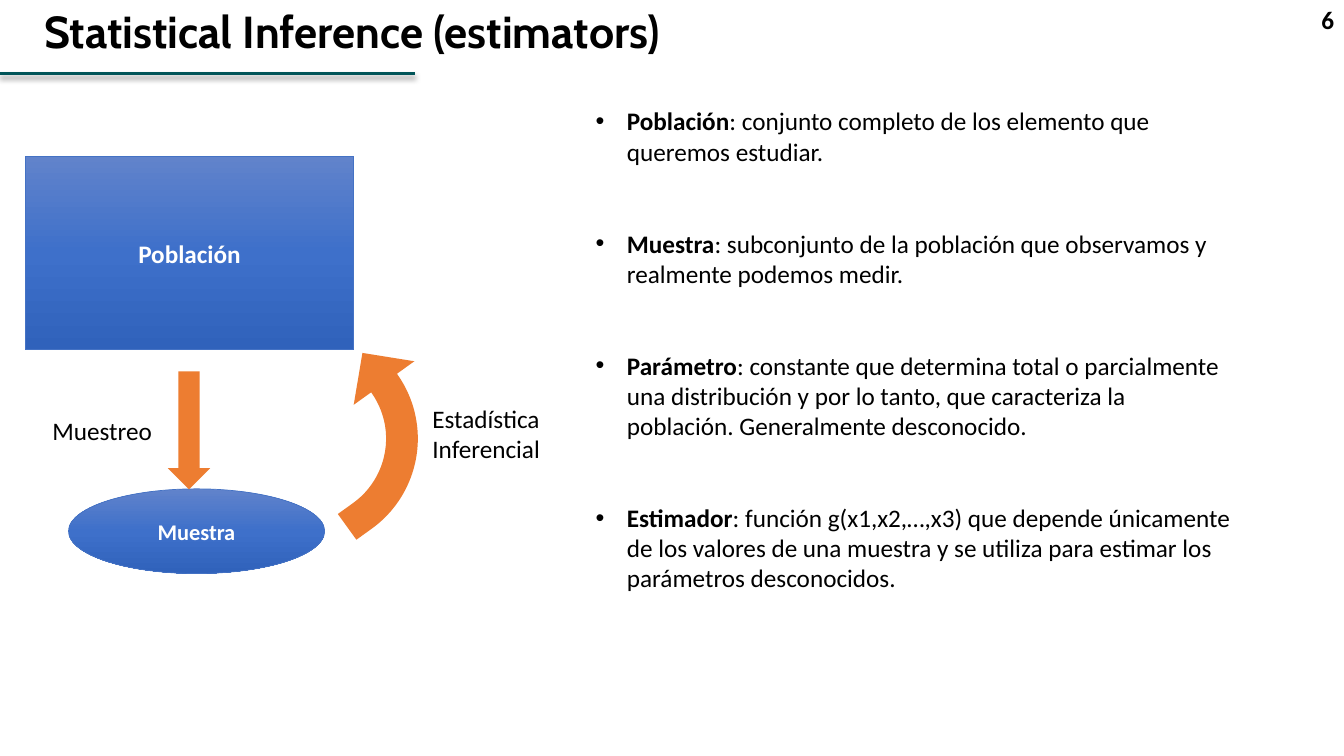
from copy import deepcopy

from lxml import etree
from pptx import Presentation
from pptx.dml.color import RGBColor
from pptx.enum.shapes import MSO_CONNECTOR as Connector, MSO_SHAPE as Shape
from pptx.enum.text import MSO_ANCHOR as Anchor, MSO_AUTO_SIZE as AutoSize, PP_ALIGN as Align
from pptx.oxml import parse_xml
from pptx.oxml.ns import nsdecls, qn
from pptx.util import Inches, Pt

BLACK = RGBColor(0x00, 0x00, 0x00)
WHITE = RGBColor(0xFF, 0xFF, 0xFF)
TEAL = RGBColor(0x01, 0x55, 0x59)
BLUE = RGBColor(0x44, 0x72, 0xC4)
ORANGE = RGBColor(0xED, 0x7D, 0x31)
BLUE_STOPS = [
    (0, RGBColor(0x61, 0x83, 0xCB)),
    (0.5, RGBColor(0x3E, 0x70, 0xCA)),
    (1, RGBColor(0x30, 0x62, 0xBB)),
]


def write(shape, paragraphs, size=18, font="Calibri", color=BLACK, align=Align.LEFT,
          anchor=Anchor.TOP, wrap=True, bullet=False, gap=0):
    """Fill a shape with paragraphs, each a list of (text, bold) spans."""
    frame = shape.text_frame
    frame.auto_size = AutoSize.NONE
    frame.word_wrap = wrap
    frame.vertical_anchor = anchor
    for index, spans in enumerate(paragraphs):
        para = frame.add_paragraph() if index else frame.paragraphs[0]
        para.alignment = align
        para.space_before = Pt(gap if index else 0)
        if bullet:
            properties = para._p.get_or_add_pPr()
            properties.set("marL", str(Inches(0.31)))
            properties.set("indent", str(Inches(-0.31)))
            etree.SubElement(properties, qn("a:buFont")).set("typeface", "Arial")
            etree.SubElement(properties, qn("a:buChar")).set("char", "•")
        for text, bold in spans:
            span = para.add_run()
            span.text = text
            span.font.name = font
            span.font.size = Pt(size)
            span.font.bold = bold
            span.font.color.rgb = color


deck = Presentation()
deck.slide_width = Inches(13.33)
deck.slide_height = Inches(7.5)
page = deck.slides.add_slide(deck.slide_layouts[5])
shapes = page.shapes

# Header
number = shapes.add_textbox(Inches(0), Inches(-0.01), Inches(13.33), Inches(0.4))
write(number, [[("6", True)]], align=Align.RIGHT, anchor=Anchor.MIDDLE)

rule = shapes.add_connector(Connector.STRAIGHT, Inches(0), Inches(0.73), Inches(4.12), Inches(0.73))
rule.line.color.rgb = TEAL
rule.line.width = Pt(2.25)
rule._element.spPr.append(parse_xml(
    f'<a:effectLst {nsdecls("a")}>'
    f'<a:outerShdw blurRad="{Pt(4)}" dist="{Pt(3)}" dir="5400000" algn="t" rotWithShape="0">'
    '<a:srgbClr val="000000"><a:alpha val="40000"/></a:srgbClr>'
    '</a:outerShdw></a:effectLst>'))

title = shapes.title
title.left, title.top = Inches(0.34), Inches(-0.01)
title.width, title.height = Inches(7.98), Inches(0.64)
write(title, [[("Statistical Inference (estimators)", True)]], size=32, font="Cabin")

# Population and sample
for name, kind, size, left, top, width, height in [
    ("Población", Shape.RECTANGLE, 18, 0.25, 1.55, 3.26, 1.92),
    ("Muestra", Shape.OVAL, 16, 0.68, 4.85, 2.54, 0.84),
]:
    group = shapes.add_shape(kind, Inches(left), Inches(top), Inches(width), Inches(height))
    group.shadow.inherit = False
    group.fill.gradient()
    group.fill.gradient_angle = 270
    stop_list = group._element.spPr.find(".//" + qn("a:gsLst"))
    stop_list.append(deepcopy(stop_list[0]))
    for stop, (position, color) in zip(group.fill.gradient_stops, BLUE_STOPS):
        stop.position = position
        stop.color.rgb = color
    group.line.color.rgb = BLUE
    group.line.width = Pt(0.5)
    write(group, [[(name, True)]], size=size, color=WHITE, align=Align.CENTER, anchor=Anchor.MIDDLE)

# Arrows between them
sampling = shapes.add_shape(Shape.RIGHT_ARROW, Inches(1.29), Inches(4.06), Inches(1.17), Inches(0.42))
sampling.rotation = 90
inference = shapes.add_shape(Shape.BENT_ARROW, Inches(2.98), Inches(3.57), Inches(1.47), Inches(1.5))
inference.rotation = 54.3
inference._element.spPr.xfrm.set("flipH", "1")
for index, value in enumerate([0.214, 0.252, 0.25, 0.771]):
    inference.adjustments[index] = value
for arrow in (sampling, inference):
    arrow.shadow.inherit = False
    arrow.fill.solid()
    arrow.fill.fore_color.rgb = ORANGE
    arrow.line.fill.background()

for lines, left, top, width, height in [
    (["Muestreo"], 0.42, 4.07, 1.25, 0.4),
    (["Estadística", "Inferencial"], 4.19, 3.95, 1.44, 0.71),
]:
    label = shapes.add_textbox(Inches(left), Inches(top), Inches(width), Inches(height))
    write(label, [[(line, False)] for line in lines], wrap=False)

# Definitions
definitions = [
    ("Población", ": conjunto completo de los elemento que queremos estudiar."),
    ("Muestra", ": subconjunto de la población que observamos y realmente podemos medir."),
    ("Parámetro", ": constante que determina total o parcialmente una distribución y por lo tanto, "
                  "que caracteriza la población. Generalmente desconocido."),
    ("Estimador", ": función g(x1,x2,…,x3) que depende únicamente de los valores de una muestra "
                  "y se utiliza para estimar los parámetros desconocidos."),
]
box = shapes.add_textbox(Inches(5.81), Inches(1), Inches(6.53), Inches(4.95))
write(box, [[(term, True), (meaning, False)] for term, meaning in definitions], bullet=True, gap=44)

deck.save("out.pptx")
